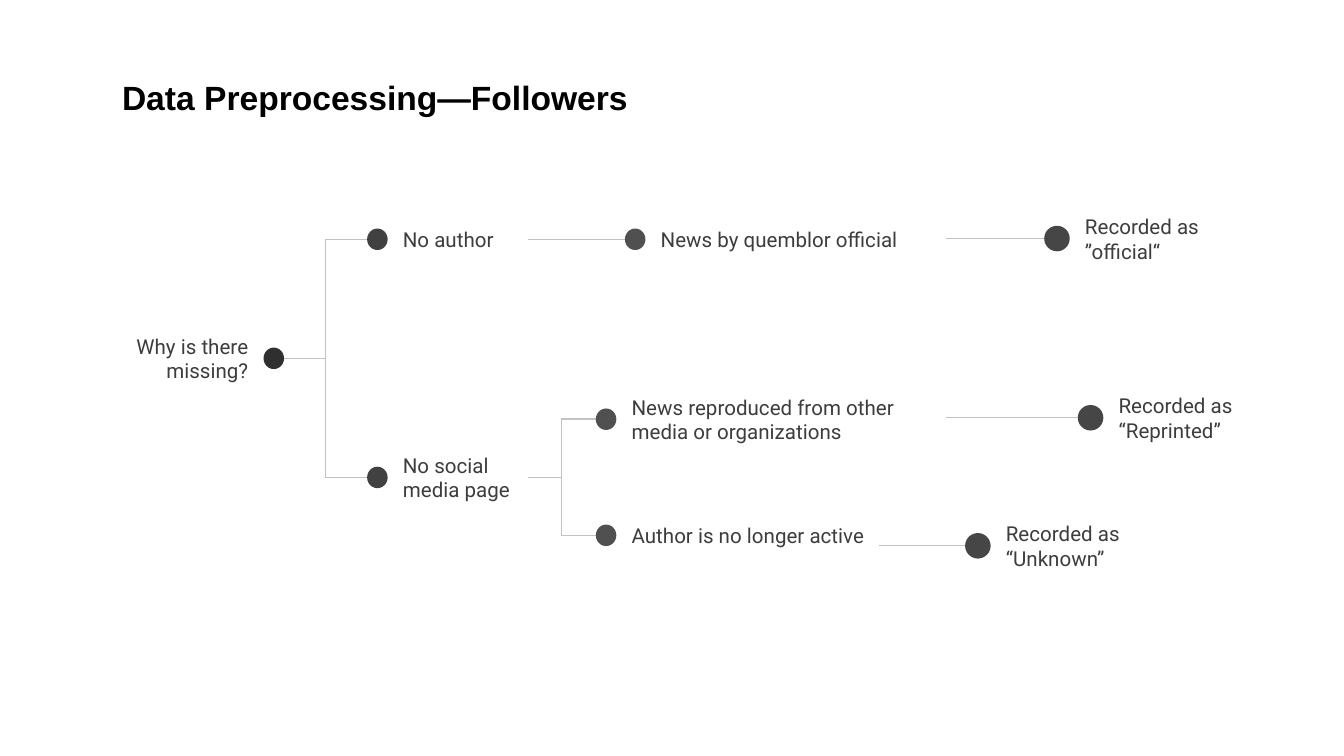
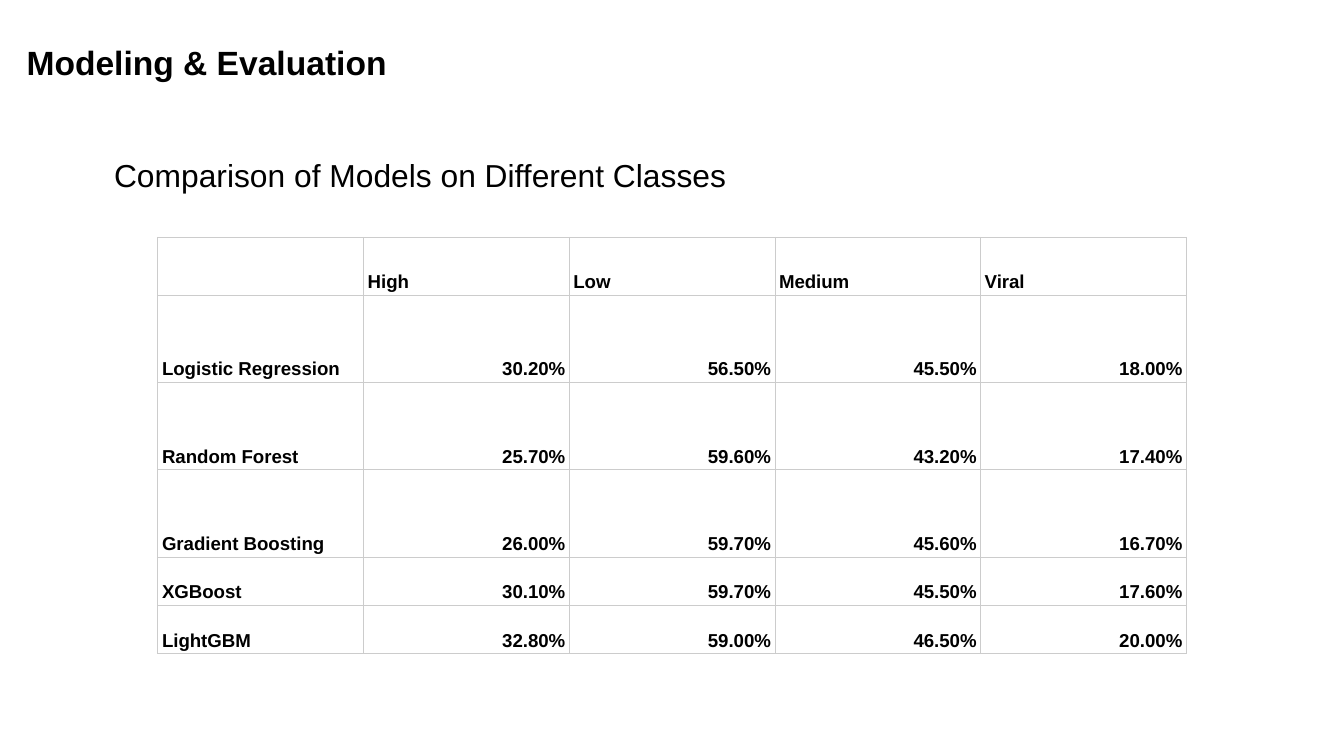
import dataclasses
import typing

import lxml.etree
import pptx
import pptx.dml.color
import pptx.enum.shapes
import pptx.enum.text
import pptx.oxml.ns
import pptx.util

INK, GREY, RULE, GRID = "000000", "3D3D3D", "C2C2C2", "CCCCCC"
LEFT, RIGHT = pptx.enum.text.PP_ALIGN.LEFT, pptx.enum.text.PP_ALIGN.RIGHT
TOP = pptx.enum.text.MSO_ANCHOR.TOP
MID = pptx.enum.text.MSO_ANCHOR.MIDDLE
LOW = pptx.enum.text.MSO_ANCHOR.BOTTOM
SIDES = ("margin_left", "margin_top", "margin_right", "margin_bottom")


@dataclasses.dataclass(frozen=True)
class Style:
    size: float
    font: str
    tint: str
    bold: bool = False
    space: float = 1.0


TITLE = Style(18, "Arial", INK, True, 1.15)
HEAD = Style(17, "Arial", INK)
CELL = Style(10, "Arial", INK, True, 1.15)
LABEL = Style(11, "Roboto", GREY)


@dataclasses.dataclass(frozen=True)
class Node:
    """A dot with a label; x is the dot's left edge, y the shared centre."""
    text: str
    x: float
    y: float
    width: float
    tint: str
    wide: float = 11
    high: float = 11.5
    flip: bool = False

    @property
    def end(self) -> float:
        return self.x + self.wide + (0 if self.flip else self.width)


@dataclasses.dataclass(frozen=True)
class Link:
    start: Node
    stop: Node
    back: float = 0


def result(text: str, x: float, y: float) -> Node:
    return Node(text, x, y, 93, "464646", 13.7, 13.7)


ROOT = Node("Why is there missing?", 141.2, 192, 110, "2F2F2F", flip=True)
NONE = Node("No author", 196.7, 128.2, 75, "414141")
PAGE = Node("No social media page", 196.7, 255.8, 75, "414141")
NEWS = Node("News by quemblor official", 334.8, 128.2, 161, "505050")
COPY = Node("News reproduced from other media or organizations",
            319.2, 224.6, 176.4, "505050")
GONE = Node("Author is no longer active", 319.2, 286.8, 157.7, "505050")
STAFF = result("Recorded as ”official“", 559.4, 127.8)
LOST = result("Recorded as “Unknown”", 517, 292.4)
PRINT = result("Recorded as “Reprinted”", 577.4, 223.8)
NODES = (NEWS, NONE, ROOT, PAGE, COPY, GONE, STAFF, LOST, PRINT)
LINKS = (Link(ROOT, PAGE), Link(ROOT, NONE), Link(NONE, NEWS),
         Link(PAGE, COPY), Link(PAGE, GONE), Link(NEWS, STAFF),
         Link(GONE, LOST, 17), Link(COPY, PRINT))

ROWS = (
    ("", "High", "Low", "Medium", "Viral"),
    ("Logistic Regression", "30.20%", "56.50%", "45.50%", "18.00%"),
    ("Random Forest", "25.70%", "59.60%", "43.20%", "17.40%"),
    ("Gradient Boosting", "26.00%", "59.70%", "45.60%", "16.70%"),
    ("XGBoost", "30.10%", "59.70%", "45.50%", "17.60%"),
    ("LightGBM", "32.80%", "59.00%", "46.50%", "20.00%"),
)
HEIGHTS = (31, 46.8, 46.8, 46.8, 25.9, 25.9)
COLUMN = 110.2


def points(*values: float) -> list[pptx.util.Length]:
    return [pptx.util.Pt(value) for value in values]


def assign(target: typing.Any, values: dict[str, typing.Any]) -> None:
    for name, value in values.items():
        setattr(target, name, value)


def paint(target: typing.Any, tint: str) -> None:
    """Colour a fill, or a colour format of a line or font."""
    if hasattr(target, "solid"):
        target.solid()
        target = target.fore_color
    target.rgb = pptx.dml.color.RGBColor.from_string(tint)


def write(frame: typing.Any, text: str, style: Style,
          align: typing.Any = LEFT) -> None:
    para = frame.paragraphs[0]
    para.text = text
    assign(para, {"alignment": align, "line_spacing": style.space})
    assign(para.font, {"size": pptx.util.Pt(style.size), "name": style.font,
                       "bold": style.bold})
    paint(para.font.color, style.tint)


def setup(frame: typing.Any, anchor: typing.Any, pads: tuple[float, ...]) -> None:
    assign(frame, {"word_wrap": True, "vertical_anchor": anchor,
                   **dict(zip(SIDES, points(*pads)))})


def add_text(slide: typing.Any, box: tuple[float, ...], text: str, style: Style,
             anchor: typing.Any, pad: float) -> None:
    frame = slide.shapes.add_textbox(*points(*box)).text_frame
    setup(frame, anchor, (7.2, pad, 7.2, pad))
    write(frame, text, style)


def add_title(slide: typing.Any, left: float, top: float, text: str) -> None:
    add_text(slide, (left, top, 612, 50.4), text, TITLE, MID, 3.6)


def add_link(slide: typing.Any, link: Link) -> None:
    """Join two nodes, in a straight run when they are nearly level."""
    near = abs(link.start.y - link.stop.y) < 10
    first = link.stop.y if near else link.start.y
    line = slide.shapes.add_connector(
        pptx.enum.shapes.MSO_CONNECTOR.ELBOW,
        *points(link.start.end - link.back, first, link.stop.x, link.stop.y))
    line.line.width = pptx.util.Pt(0.75)
    paint(line.line.fill, RULE)
    lxml.etree.SubElement(line._element.spPr, pptx.oxml.ns.qn("a:effectLst"))


def add_node(slide: typing.Any, node: Node) -> None:
    group = slide.shapes.add_group_shape().shapes
    kinds = pptx.enum.shapes.MSO_SHAPE
    left = node.x - node.width if node.flip else node.x + node.wide
    label = group.add_shape(kinds.ROUNDED_RECTANGLE,
                            *points(left, node.y - 11, node.width, 22))
    label.fill.background()
    setup(label.text_frame, MID, (7.2,) * 4)
    write(label.text_frame, node.text, LABEL, RIGHT if node.flip else LEFT)
    dot = group.add_shape(kinds.OVAL, *points(
        node.x, node.y - node.high / 2, node.wide, node.high))
    paint(dot.fill, node.tint)
    for shape in (label, dot):
        shape.line.fill.background()
        shape.shadow.inherit = False


def add_edges(cell: typing.Any) -> None:
    name = pptx.oxml.ns.qn
    props = cell._tc.get_or_add_tcPr()
    for index, side in enumerate("LRTB"):
        edge = lxml.etree.Element(name(f"a:ln{side}"), w=str(pptx.util.Pt(0.6)))
        fill = lxml.etree.SubElement(edge, name("a:solidFill"))
        lxml.etree.SubElement(fill, name("a:srgbClr"), val=GRID)
        props.insert(index, edge)


def add_scores(slide: typing.Any) -> None:
    table = slide.shapes.add_table(
        len(ROWS), len(ROWS[0]),
        *points(84.6, 127.2, COLUMN * len(ROWS[0]), sum(HEIGHTS))).table
    assign(table, {"first_row": False, "horz_banding": False})
    for column in table.columns:
        column.width = pptx.util.Pt(COLUMN)
    for row, height, texts in zip(table.rows, HEIGHTS, ROWS):
        row.height = pptx.util.Pt(height)
        for cell, text in zip(row.cells, texts):
            assign(cell, {"vertical_anchor": LOW,
                          **dict(zip(SIDES, points(2.2, 1.5, 2.2, 1.5)))})
            cell.fill.background()
            add_edges(cell)
            write(cell.text_frame, text, CELL,
                  RIGHT if text.endswith("%") else LEFT)


def main() -> None:
    deck = pptx.Presentation()
    assign(deck, {"slide_width": pptx.util.Pt(720),
                  "slide_height": pptx.util.Pt(405)})
    tree, scores = (deck.slides.add_slide(deck.slide_layouts[6])
                    for _ in range(2))

    add_title(tree, 58.3, 25.2, "Data Preprocessing—Followers")
    for link in LINKS:
        add_link(tree, link)
    for node in NODES:
        add_node(tree, node)

    add_scores(scores)
    add_title(scores, 7.2, 6.5, "Modeling & Evaluation")
    add_text(scores, (54, 76.3, 586, 39.6),
             "Comparison of Models on Different Classes", HEAD, TOP, 7.2)
    deck.save("out.pptx")


if __name__ == "__main__":
    main()
